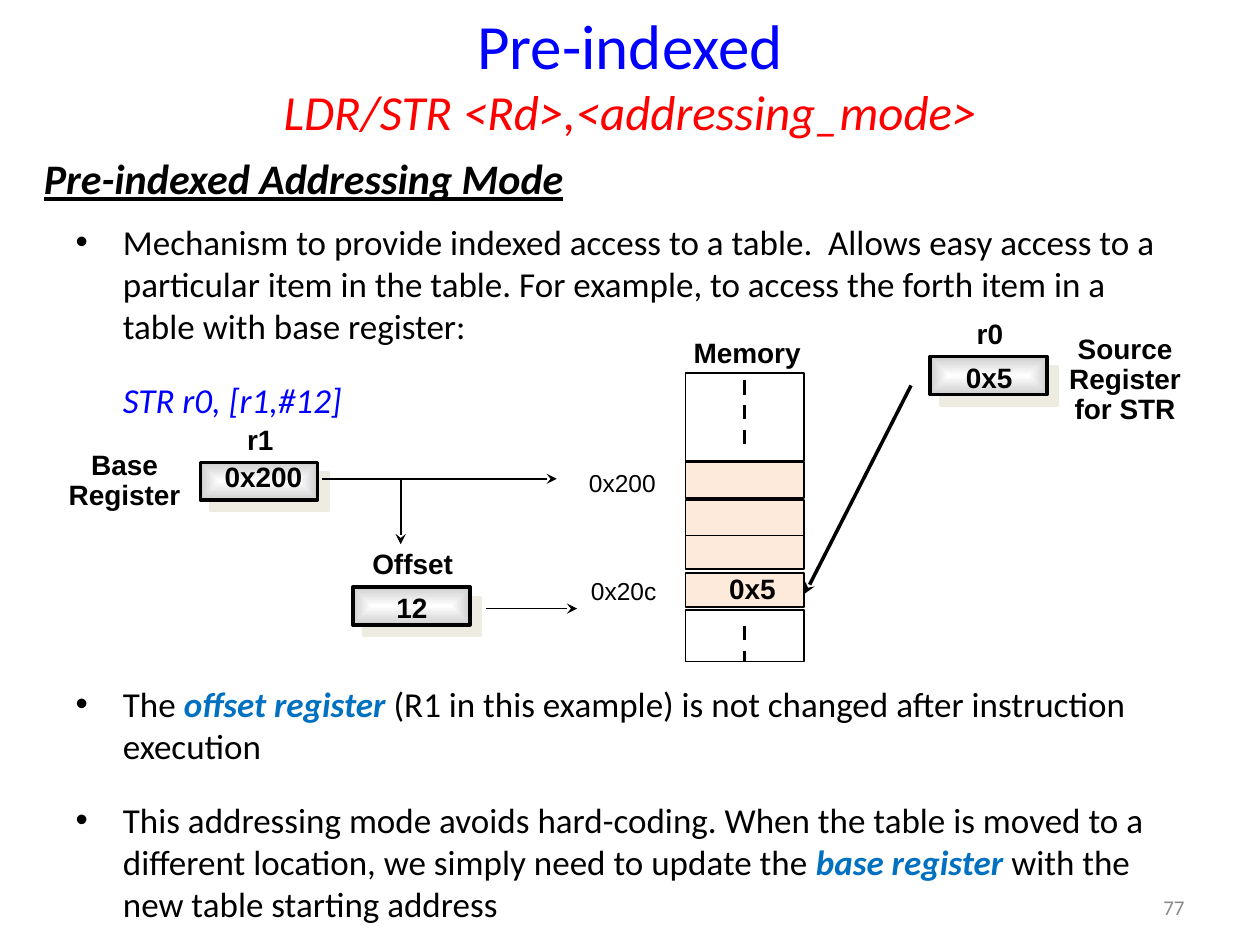
"""Build the slide on pre-indexed addressing with its memory diagram."""
from lxml import etree
from pptx import Presentation
from pptx.dml.color import RGBColor
from pptx.enum import dml, shapes, text
from pptx.oxml import parse_xml
from pptx.oxml.ns import nsdecls, qn
from pptx.util import Pt

COLORS = {
    "black": "000000", "white": "FFFFFF", "blue": "0000FF", "red": "FF0000",
    "accent": "0070C0", "peach": "FDEADA", "silver": "CECECE",
    "shadow": "EEECE1", "grey": "898989",
}
CENTER, LEFT, RIGHT = text.PP_ALIGN.CENTER, text.PP_ALIGN.LEFT, text.PP_ALIGN.RIGHT

TITLE = [
    ("Pre-indexed", dict(size=36, color="blue")),
    ("LDR/STR <Rd>,<addressing_mode>", dict(size=28, color="red", italic=True)),
]
PLAIN = dict(size=20)
CODE = dict(size=20, color="blue", italic=True)
TERM = dict(size=20, color="accent", bold=True, italic=True)
# space before, bulleted, runs
BODY = [
    (0, True, [("Mechanism to provide indexed access to a table.  Allows easy access to a "
                "particular item in the table. For example, to access the forth item in a "
                "table with base register:", PLAIN)]),
    (18, False, [("STR r0, [r1,#12]", CODE)]),
    (150, True, [("The ", PLAIN), ("offset register ", TERM),
                 ("(R1 in this example) is not changed after instruction execution", PLAIN)]),
    (18, True, [("This addressing mode avoids hard-coding. When the table is moved to a "
                 "different location, we simply need to update the ", PLAIN),
                ("base register ", TERM), ("with the new table starting address", PLAIN)]),
]
# name, value, left, top, shift of the value
REGISTERS = [
    ("r1", "0x200", 114.5, 264.2, (2.2, -2.9)),
    ("r0", "0x5", 531.4, 203.8, (0, 0.7)),
    ("Offset", "12", 201.6, 335.5, (0, 0.7)),
]
REGISTER_SIZE = (67, 21.6)
LABEL = dict(size=16, font="Arial", bold=True)
ADDRESS = dict(size=14, font="Arial")
# text, left, top, width, height, format
LABELS = [
    ("Base\nRegister", 30.2, 254.2, 82, 39.6, LABEL),
    ("Source\nRegister\nfor STR", 601.9, 187.9, 82, 56.2, LABEL),
    ("Memory", 385.9, 190.1, 82, 23, LABEL),
    ("0x200", 321.8, 265.7, 67.7, 22.3, ADDRESS),
    ("0x20c", 322.6, 327.6, 67.7, 22.3, ADDRESS),
]
MEMORY_LEFT, MEMORY_WIDTH = 391.7, 67.7
# top, height, fill, outlined, value
MEMORY = [
    (263.5, 25.2, "peach", False, ""),
    (213.1, 50.4, None, True, ""),
    (264.2, 20.2, None, True, ""),
    (285.8, 20.2, "peach", True, ""),
    (306, 19.4, "peach", True, ""),
    (327.6, 19.4, "peach", True, "0x5"),
    (348.5, 29.5, None, True, ""),
]
MEMORY_MIDDLE = MEMORY_LEFT + MEMORY_WIDTH / 2
# start, end, width, dashed
LINES = [
    ((184.3, 273.6), (318.2, 273.6), 1, False),
    ((229, 274.3), (229, 311), 1, False),
    ((277.9, 347.8), (329.8, 347.8), 1, False),
    ((520.6, 220.3), (460.1, 339.1), 2, False),
    ((MEMORY_MIDDLE, 217.4), (MEMORY_MIDDLE, 257), 2, True),
    ((MEMORY_MIDDLE, 357.8), (MEMORY_MIDDLE, 378), 2, True),
]


def rgb(name):
    return RGBColor.from_string(COLORS[name])


def points(*lengths):
    return [Pt(length) for length in lengths]


def format_font(font, size, color="black", font_name="Calibri", bold=False, italic=False):
    font.size, font.name = Pt(size), font_name
    font.bold, font.italic = bold, italic
    font.color.rgb = rgb(color)


def write(paragraph, words, alignment, font="Calibri", **style):
    paragraph.text = words
    paragraph.alignment = alignment
    for run in paragraph.runs:
        format_font(run.font, font_name=font, **style)
    return paragraph


def place(shape, left, top, width, height):
    shape.left, shape.top, shape.width, shape.height = points(left, top, width, height)
    frame = shape.text_frame
    frame.word_wrap = True
    frame.auto_size = text.MSO_AUTO_SIZE.NONE
    frame.vertical_anchor = text.MSO_ANCHOR.TOP
    return frame


def add_text(slide, words, left, top, width, height, alignment=CENTER, **style):
    box = slide.shapes.add_textbox(*points(left, top, width, height))
    frame = place(box, left, top, width, height)
    return write(frame.paragraphs[0], words, alignment, **style)


def add_label(slide, words, left, top, width, height, style):
    add_text(slide, words, left, top, width, height, **style).line_spacing = 0.9


def add_box(slide, left, top, width, height, fill=None, line_width=None):
    shape = slide.shapes.add_shape(shapes.MSO_SHAPE.RECTANGLE, *points(left, top, width, height))
    shape.shadow.inherit = False
    if fill:
        shape.fill.solid()
        shape.fill.fore_color.rgb = rgb(fill)
    else:
        shape.fill.background()
    if line_width:
        shape.line.color.rgb = rgb("black")
        shape.line.width = Pt(line_width)
    else:
        shape.line.fill.background()
    return shape


def add_register(slide, name, value, left, top, shift):
    shape = add_box(slide, left, top, *REGISTER_SIZE, line_width=2)
    shape.fill.gradient()
    for stop, color, position in zip(shape.fill.gradient_stops, ("white", "silver"), (0, 1)):
        stop.color.rgb, stop.position = rgb(color), position
    properties = shape.element.spPr
    gradient = properties.find(qn("a:gradFill"))
    gradient.replace(gradient.find(qn("a:lin")), parse_xml(
        f'<a:path {nsdecls("a")} path="rect">'
        '<a:fillToRect l="50000" t="50000" r="50000" b="50000"/></a:path>'))
    properties.find(qn("a:effectLst")).append(parse_xml(
        f'<a:outerShdw {nsdecls("a")} dist="{Pt(8.5)}" dir="2700000" algn="ctr" rotWithShape="0">'
        f'<a:srgbClr val="{COLORS["shadow"]}"/></a:outerShdw>'))
    add_label(slide, name, left - 6.8, top - 24.4, 82, 23, LABEL)
    add_label(slide, value, left + shift[0], top + shift[1], 67.7, 23, LABEL)


def add_line(slide, start, end, width, dashed):
    line = slide.shapes.add_connector(shapes.MSO_CONNECTOR.STRAIGHT, *points(*start, *end))
    line.line.color.rgb = rgb("black")
    line.line.width = Pt(width)
    properties = line.element.spPr
    if dashed:
        line.line.dash_style = dml.MSO_LINE.DASH
    else:
        etree.SubElement(properties.find(qn("a:ln")), qn("a:tailEnd"), type="stealth")
    etree.SubElement(properties, qn("a:effectLst"))


def add_body(placeholder):
    frame = place(placeholder, 36, 122.4, 647.3, 413.3)
    for index, (space, bulleted, runs) in enumerate(BODY):
        paragraph = frame.add_paragraph() if index else frame.paragraphs[0]
        paragraph.space_before = Pt(space)
        if not bulleted:
            properties = paragraph._p.get_or_add_pPr()
            properties.set("indent", "0")
            etree.SubElement(properties, qn("a:buNone"))
        for words, style in runs:
            run = paragraph.add_run()
            run.text = words
            format_font(run.font, **style)


def main():
    presentation = Presentation()
    presentation.slide_width, presentation.slide_height = points(720, 540)
    slide = presentation.slides.add_slide(presentation.slide_layouts[1])
    frame = place(slide.shapes.title, 36, 0, 648, 54)
    for index, (words, style) in enumerate(TITLE):
        paragraph = frame.add_paragraph() if index else frame.paragraphs[0]
        write(paragraph, words, CENTER, **style)
    add_body(slide.placeholders[1])
    heading = add_text(slide, "Pre-indexed Addressing Mode", 18, 83.5, 648, 41.8, LEFT,
                       size=24, bold=True, italic=True)
    heading.runs[0].font.underline = True
    for top, height, fill, outlined, value in MEMORY:
        cell = add_box(slide, MEMORY_LEFT, top, MEMORY_WIDTH, height, fill, 1 if outlined else None)
        if value:
            cell.text_frame.margin_left = Pt(25)
            write(cell.text_frame.paragraphs[0], value, LEFT, **LABEL).line_spacing = 0.9
    for register in REGISTERS:
        add_register(slide, *register)
    for label in LABELS:
        add_label(slide, *label)
    for line in LINES:
        add_line(slide, *line)
    add_text(slide, "77", 516.2, 507.5, 167.8, 21.6, RIGHT, size=12, color="grey")
    presentation.save("out.pptx")


if __name__ == "__main__":
    main()
